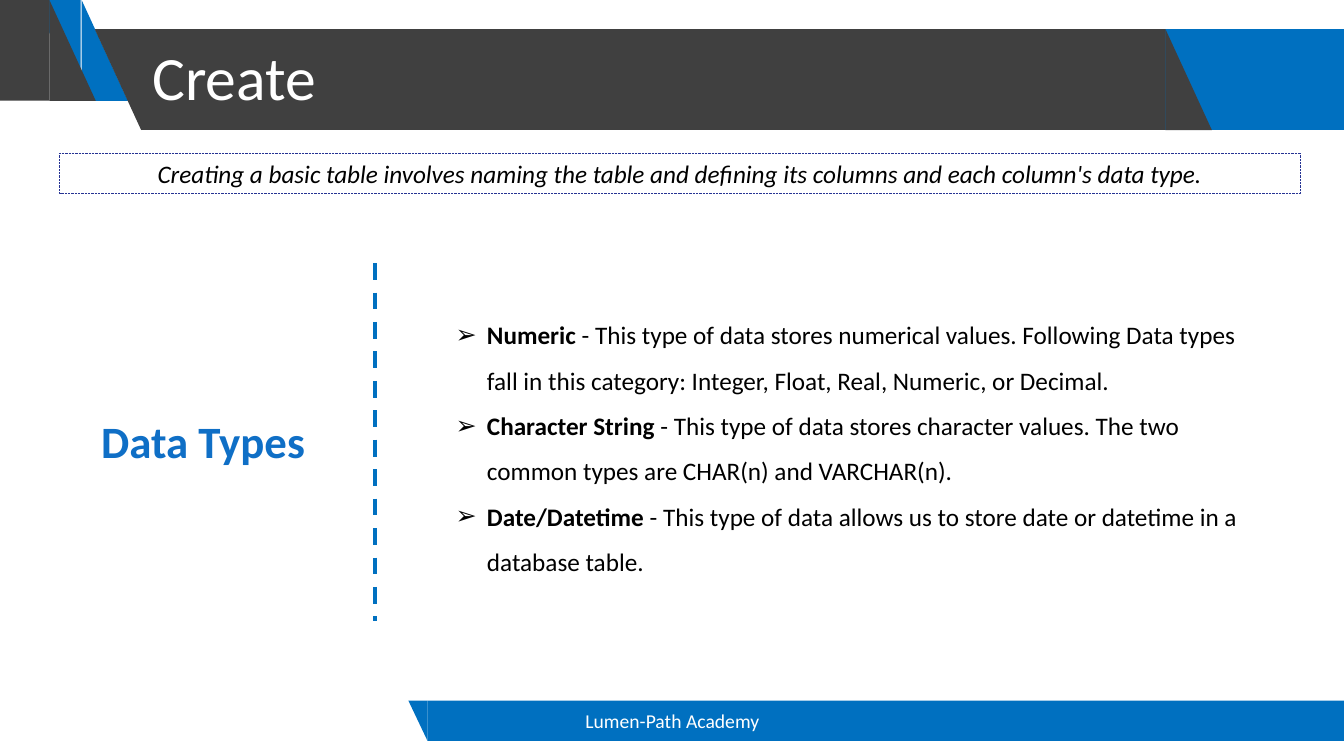
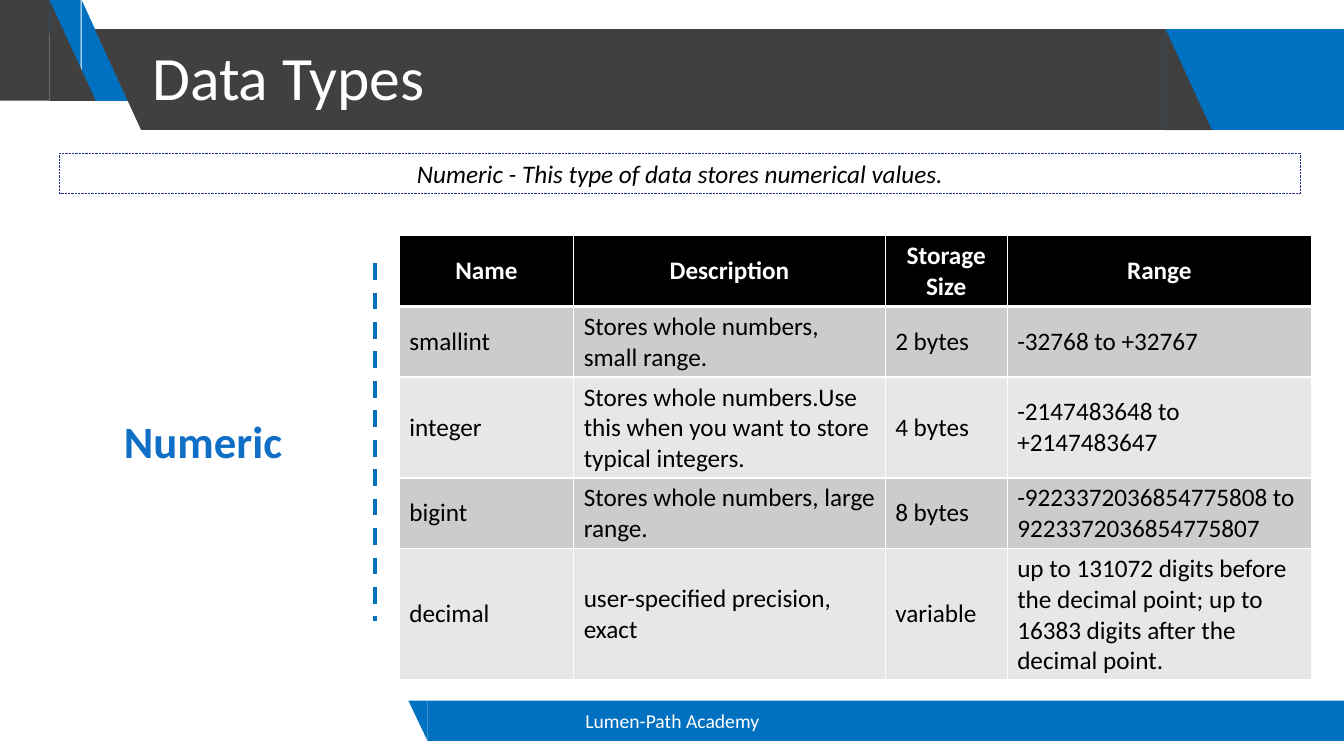
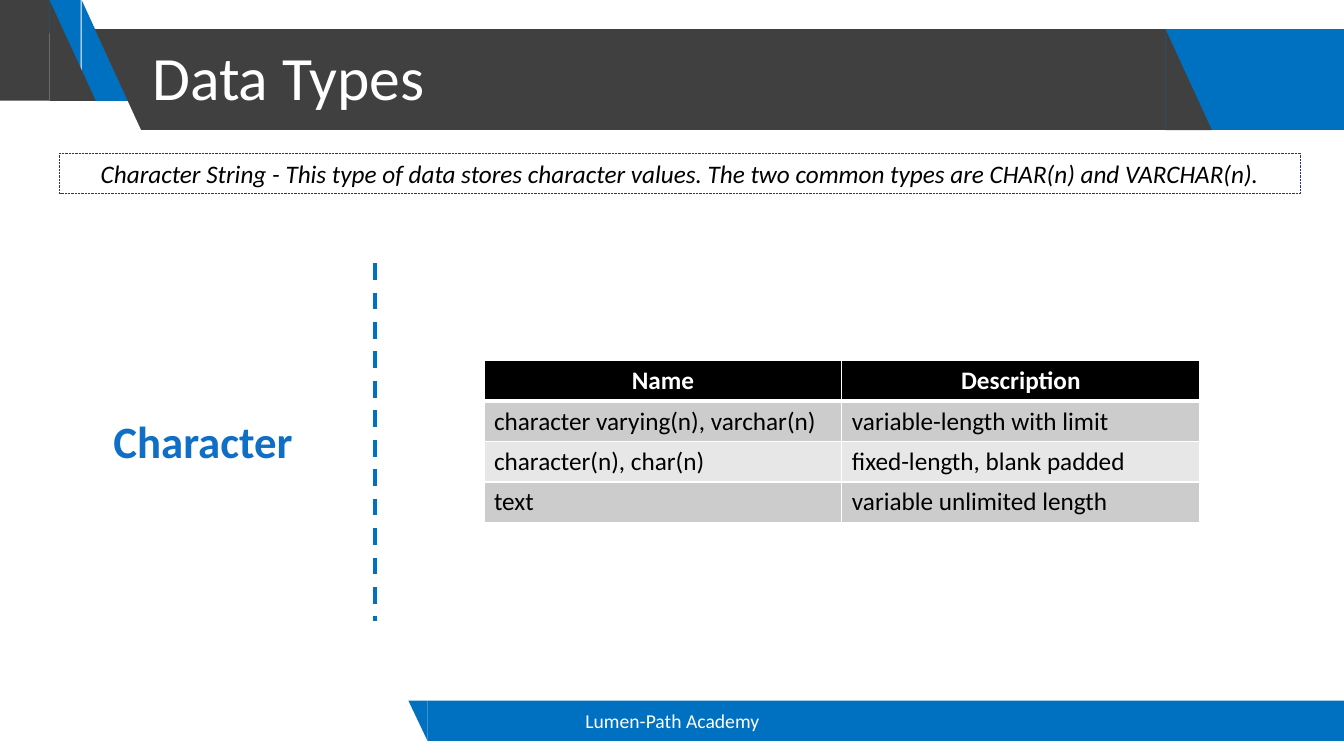
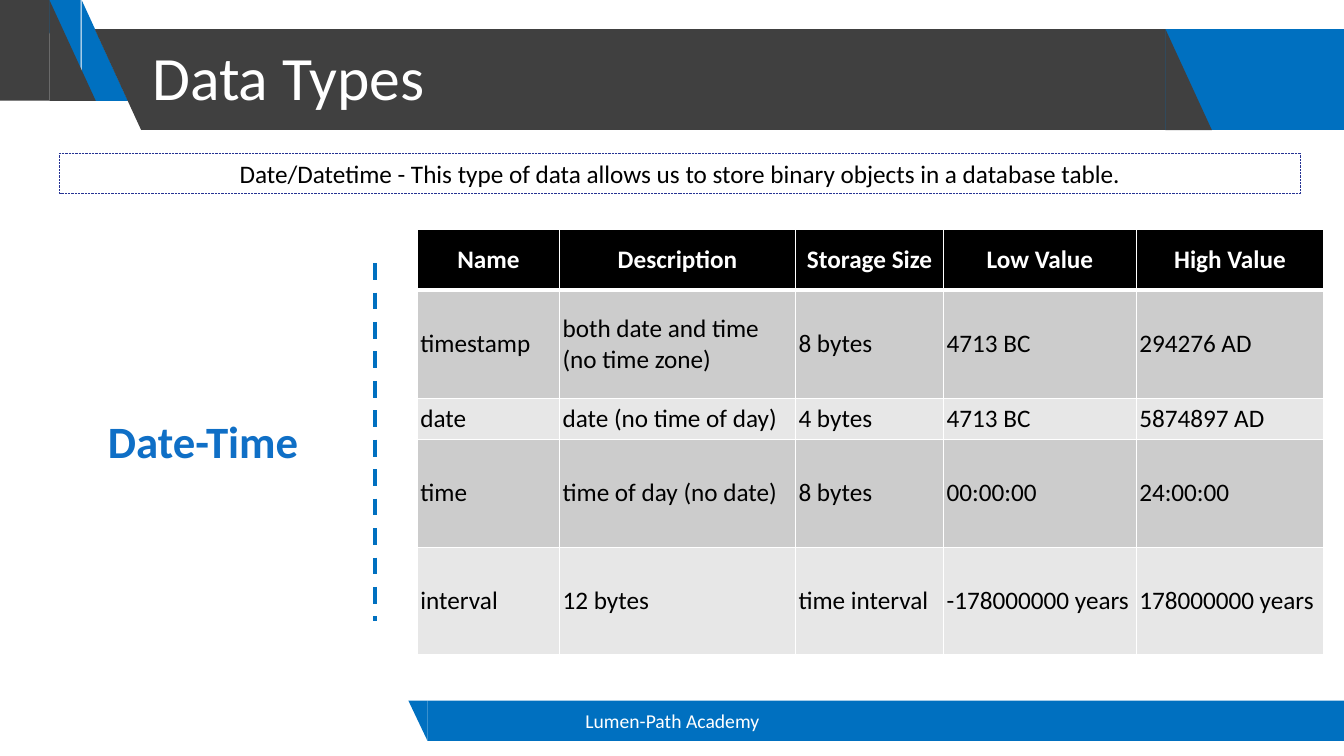
from dataclasses import dataclass

from lxml import etree
from pptx import Presentation
from pptx.dml.color import RGBColor
from pptx.enum.dml import MSO_LINE
from pptx.enum.shapes import MSO_CONNECTOR, MSO_SHAPE
from pptx.enum.text import MSO_ANCHOR, MSO_AUTO_SIZE, PP_ALIGN
from pptx.oxml.ns import qn
from pptx.util import Inches, Pt

RECT, WEDGE = MSO_SHAPE.RECTANGLE, MSO_SHAPE.RIGHT_TRIANGLE
LEFT, CENTER = PP_ALIGN.LEFT, PP_ALIGN.CENTER
TOP, MIDDLE = MSO_ANCHOR.TOP, MSO_ANCHOR.MIDDLE
GROW, FIXED = MSO_AUTO_SIZE.SHAPE_TO_FIT_TEXT, MSO_AUTO_SIZE.NONE
DASH, DOT = MSO_LINE.DASH, MSO_LINE.ROUND_DOT
STRAIGHT = MSO_CONNECTOR.STRAIGHT
LIST, PLAIN = 1, 5  # layouts: title with body, title only


@dataclass(frozen=True)
class Theme:
    font: str = "Calibri"
    blue: str = "0070C0"
    label: str = "0F6FC6"
    navy: str = "263393"
    dark: str = "404040"
    black: str = "000000"
    white: str = "FFFFFF"
    rows: tuple = ("E7E7E7", "CCCCCC")
    title: int = 44
    head: int = 32
    body: int = 18
    foot: int = 14


THEME = Theme()
FOOTER = "Lumen-Path Academy"

# shape, left, top, width, height, colour, rotation
BANDS = [
    (RECT, 10.68, 0.29, 2.65, 1, THEME.blue, 0),
    (WEDGE, 0.81, 0, 0.46, 1, THEME.blue, 0),
    (WEDGE, 0.34, 0, 0.46, 1, THEME.blue, 180),
    (RECT, 0, 0, 0.49, 1, THEME.dark, 0),
    (WEDGE, 0.49, 0, 0.46, 1, THEME.dark, 0),
    (WEDGE, 0.94, 0.29, 0.46, 1, THEME.dark, 180),
    (RECT, 1.4, 0.29, 10.16, 1, THEME.dark, 0),
    (WEDGE, 11.56, 0.29, 0.46, 1, THEME.dark, 0),
    (RECT, 4.24, 6.95, 9.09, 0.4, THEME.blue, 0),
    (WEDGE, 4.05, 6.95, 0.19, 0.4, THEME.blue, 180),
]


def rgb(code):
    return RGBColor.from_string(code)


def box(*sizes):
    return [Inches(size) for size in sizes]


class Deck:
    def __init__(self, theme):
        self.theme = theme
        self.prs = Presentation()
        self.prs.slide_width, self.prs.slide_height = box(13.33, 7.5)
        self.slide = None

    def run(self, para, text, size, color, **looks):
        run = para.add_run()
        run.text = text
        looks = {"name": self.theme.font, "size": Pt(size), **looks}
        for key, value in looks.items():
            setattr(run.font, key, value)
        run.font.color.rgb = rgb(color)

    def frame(self, shape, **looks):
        frame = shape.text_frame
        looks = {"word_wrap": True, "vertical_anchor": TOP, "auto_size": GROW, **looks}
        for key, value in looks.items():
            setattr(frame, key, value)
        return frame

    def place(self, shape, *sizes):
        for key, value in zip(("left", "top", "width", "height"), box(*sizes)):
            setattr(shape, key, value)

    def shape(self, kind, *sizes):
        shape = self.slide.shapes.add_shape(kind, *box(*sizes))
        shape.shadow.inherit = False
        return shape

    def brand(self):
        """Draw bands and footer on the current slide, then move them to the master."""
        parts = []
        for kind, left, top, width, height, color, turn in BANDS:
            band = self.shape(kind, left, top, width, height)
            band.fill.solid()
            band.fill.fore_color.rgb = rgb(color)
            band.line.fill.background()
            band.rotation = turn
            parts.append(band)
        parts.append(self.text(FOOTER, (4.42, 6.95, 4.5, 0.4), self.theme.foot,
                               self.theme.white, vertical_anchor=MIDDLE, auto_size=FIXED))
        tree = self.prs.slide_master.element.cSld.spTree
        for number, part in enumerate(parts, 101):
            part.element.nvSpPr.cNvPr.set("id", str(number))
            tree.append(part.element)

    def text(self, text, sizes, size, color, bold=False, **looks):
        shape = self.slide.shapes.add_textbox(*box(*sizes))
        para = self.frame(shape, **looks).paragraphs[0]
        para.alignment = CENTER
        self.run(para, text, size, color, bold=bold)
        return shape

    def start(self, layout, title, note, label, italic=True):
        """Add a slide with its title, caption, divider and side label."""
        theme = self.theme
        first = self.slide is None
        self.slide = self.prs.slides.add_slide(self.prs.slide_layouts[layout])
        if first:
            self.brand()
        self.title(title)
        self.note(note, italic)
        self.rule()
        self.text(label, (0.31, 4.06, 3.41, 0.64), theme.head, theme.label, True)

    def title(self, text):
        shape = self.slide.shapes.title
        self.place(shape, 1.41, 0.07, 10.14, 1.45)
        para = self.frame(shape, vertical_anchor=MIDDLE, auto_size=FIXED).paragraphs[0]
        para.alignment, para.line_spacing = LEFT, 0.9
        self.run(para, text, self.theme.title, self.theme.white)

    def note(self, text, italic):
        shape = self.shape(RECT, 0.59, 1.52, 12.31, 0.4)
        shape.fill.background()
        shape.line.color.rgb = rgb(self.theme.navy)
        shape.line.width, shape.line.dash_style = Pt(0.5), DOT
        para = self.frame(shape).paragraphs[0]
        para.alignment = CENTER
        self.run(para, text, self.theme.body, self.theme.black, italic=italic)

    def rule(self):
        rule = self.slide.shapes.add_connector(STRAIGHT, *box(3.72, 2.61, 3.72, 6.16))
        rule.line.color.rgb = rgb(self.theme.blue)
        rule.line.width, rule.line.dash_style = Pt(3), DASH
        etree.SubElement(rule.element.spPr, qn("a:effectLst"))

    def bullets(self, items):
        shape = self.slide.placeholders[1]
        self.place(shape, 4.42, 2.97, 8.26, 2.83)
        frame = self.frame(shape)
        for index, (term, text) in enumerate(items):
            para = frame.add_paragraph() if index else frame.paragraphs[0]
            para.alignment, para.line_spacing, para.space_before = LEFT, 1.5, Pt(0)
            props = para._p.get_or_add_pPr()
            props.set("marL", str(Inches(0.31)))
            props.set("indent", str(Inches(-0.31)))
            etree.SubElement(props, qn("a:buFont"), typeface="Arial")
            etree.SubElement(props, qn("a:buChar"), char="➢")
            self.run(para, term, self.theme.body, self.theme.black, bold=True)
            self.run(para, " - " + text, self.theme.body, self.theme.black)

    def edges(self, cell, row):
        props = cell._tc.get_or_add_tcPr()
        widths = {"lnL": 1, "lnR": 1, "lnT": 3 if row == 1 else 1, "lnB": 1 if row else 3}
        for side, width in widths.items():
            line = etree.SubElement(props, qn("a:" + side), w=str(Pt(width)))
            fill = etree.SubElement(line, qn("a:solidFill"))
            etree.SubElement(fill, qn("a:srgbClr"), val=self.theme.white)

    def table(self, left, top, cols, heights, data, pad=(0.1, 0.05)):
        theme = self.theme
        sizes = box(left, top, sum(cols), sum(heights))
        grid = self.slide.shapes.add_table(len(data), len(cols), *sizes).table
        for col, width in zip(grid.columns, cols):
            col.width = Inches(width)
        across, down = box(*pad)
        insets = {"margin_left": across, "margin_right": across,
                  "margin_top": down, "margin_bottom": down, "vertical_anchor": MIDDLE}
        for row, (height, texts) in enumerate(zip(heights, data)):
            grid.rows[row].height = Inches(height)
            head = row == 0
            for col, text in enumerate(texts):
                cell = grid.cell(row, col)
                for key, value in insets.items():
                    setattr(cell, key, value)
                self.edges(cell, row)
                cell.fill.solid()
                cell.fill.fore_color.rgb = rgb(theme.black if head else theme.rows[row % 2])
                para = cell.text_frame.paragraphs[0]
                para.alignment = CENTER if head else LEFT
                self.run(para, text, theme.body, theme.white if head else theme.black,
                         bold=head)


def main():
    deck = Deck(THEME)

    deck.start(LIST, "Create", "Creating a basic table involves naming the table and "
               "defining its columns and each column's data type.", "Data Types")
    deck.bullets([
        ("Numeric", "This type of data stores numerical values. Following Data types fall "
                    "in this category: Integer, Float, Real, Numeric, or Decimal."),
        ("Character String", "This type of data stores character values. The two common "
                             "types are CHAR(n) and VARCHAR(n)."),
        ("Date/Datetime", "This type of data allows us to store date or datetime in a "
                          "database table."),
    ])

    deck.start(PLAIN, "Data Types", "Numeric - This type of data stores numerical values.",
               "Numeric")
    deck.table(3.96, 2.34, [1.73, 3.09, 1.21, 3.02], [0.7, 0.7, 1, 0.7, 1.3], [
        ("Name", "Description", "Storage Size", "Range"),
        ("smallint", "Stores whole numbers, small range.", "2 bytes", "-32768 to +32767"),
        ("integer", "Stores whole numbers.Use this when you want to store typical integers.",
         "4 bytes", "-2147483648 to +2147483647"),
        ("bigint", "Stores whole numbers, large range.", "8 bytes",
         "-9223372036854775808 to 9223372036854775807"),
        ("decimal", "user-specified precision, exact", "variable",
         "up to 131072 digits before the decimal point; up to 16383 digits after the "
         "decimal point."),
    ])

    deck.start(PLAIN, "Data Types", "Character String - This type of data stores character "
               "values. The two common types are CHAR(n) and VARCHAR(n).", "Character")
    deck.table(4.8, 3.58, [3.55] * 2, [0.4] * 4, [
        ("Name", "Description"),
        ("character varying(n), varchar(n)", "variable-length with limit"),
        ("character(n), char(n)", "fixed-length, blank padded"),
        ("text", "variable unlimited length"),
    ])

    deck.start(PLAIN, "Data Types", "Date/Datetime - This type of data allows us to store "
               "binary objects in a database table.", "Date-Time", italic=False)
    deck.table(4.14, 2.28, [1.41, 2.34, 1.47, 1.91, 1.86], [0.6, 1.07, 0.41, 1.07, 1.07], [
        ("Name", "Description", "Storage Size", "Low Value", "High Value"),
        ("timestamp", "both date and time (no time zone)", "8 bytes", "4713 BC", "294276 AD"),
        ("date", "date (no time of day)", "4 bytes", "4713 BC", "5874897 AD"),
        ("time", "time of day (no date)", "8 bytes", "00:00:00", "24:00:00"),
        ("interval", "12 bytes", "time interval", "-178000000 years", "178000000 years"),
    ], pad=(0.03, 0.01))

    deck.prs.save("out.pptx")


if __name__ == "__main__":
    main()
